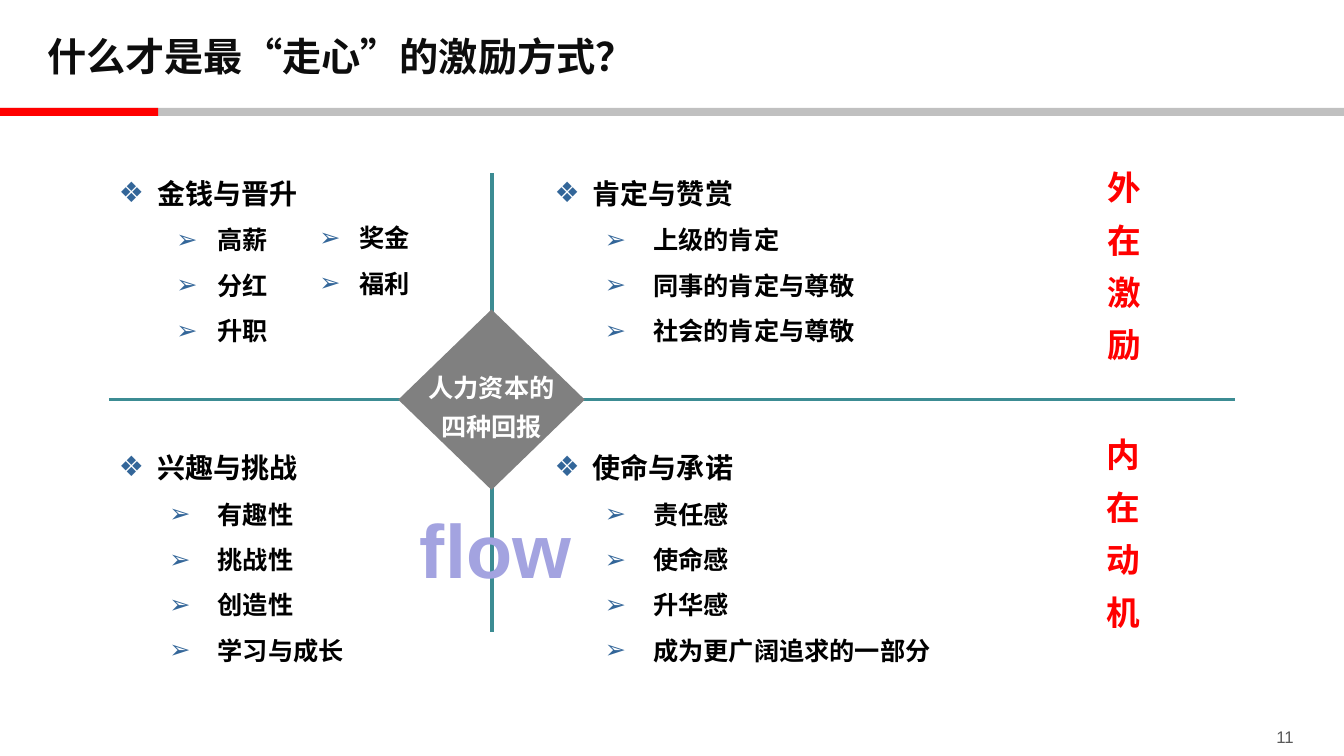
import pptx
import pptx.util
import pptx.dml.color
import pptx.enum.shapes
import pptx.enum.text
import pptx.oxml.ns
import lxml.etree

Inches = pptx.util.Inches
Pt = pptx.util.Pt
RGBColor = pptx.dml.color.RGBColor
SHAPE = pptx.enum.shapes.MSO_SHAPE
ALIGN = pptx.enum.text.PP_ALIGN
ANCHOR = pptx.enum.text.MSO_ANCHOR

CJK = "Noto Sans CJK SC"
BLACK = RGBColor(0x00, 0x00, 0x00)
WHITE = RGBColor(0xFF, 0xFF, 0xFF)
RED = RGBColor(0xFF, 0x00, 0x00)
SILVER = RGBColor(0xC0, 0xC0, 0xC0)
GRAY = RGBColor(0x80, 0x80, 0x80)
TEAL = RGBColor(0x3C, 0x8C, 0x93)
BLUE = RGBColor(0x33, 0x66, 0x99)
LAVENDER = RGBColor(0xA3, 0xA3, 0xE0)
TITLE_INK = RGBColor(0x0D, 0x0D, 0x0D)
NUMBER_INK = RGBColor(0x59, 0x59, 0x59)

QUADRANTS = [
    (1.08, 1.53, 2.67, 0.41, "金钱与晋升", ["高薪", "分红", "升职"]),
    (5.4, 1.53, 3.65, 0.48, "肯定与赞赏", ["上级的肯定", "同事的肯定与尊敬", "社会的肯定与尊敬"]),
    (1.08, 4.25, 3.65, 0.48, "兴趣与挑战", ["有趣性", "挑战性", "创造性", "学习与成长"]),
    (5.4, 4.25, 4.14, 0.48, "使命与承诺", ["责任感", "使命感", "升华感", "成为更广阔追求的一部分"]),
]


def sub(parent, tag, **attributes):
    """Append a drawing element to a parent."""
    return lxml.etree.SubElement(parent, pptx.oxml.ns.qn(tag), attributes)


def place(shape, left, top, width, height):
    """Move and size a shape, in inches."""
    shape.left, shape.top = Inches(left), Inches(top)
    shape.width, shape.height = Inches(width), Inches(height)


def prepare(frame, anchor=ANCHOR.TOP, wrap=True):
    """Set the wrapping and anchoring of a text frame."""
    frame.word_wrap = wrap
    frame.auto_size = pptx.enum.text.MSO_AUTO_SIZE.NONE
    frame.vertical_anchor = anchor
    return frame


def write(frame, text, size=18, color=BLACK, font=CJK, bold=True, align=ALIGN.LEFT,
          spacing=1.0, level=0, bullet=None, margin=0, hanging=0):
    """Add one formatted paragraph to a text frame."""
    paragraph = frame.paragraphs[0]
    if paragraph.runs:
        paragraph = frame.add_paragraph()
    paragraph.level = level
    paragraph.alignment = align
    paragraph.line_spacing = spacing
    paragraph.space_before = Pt(0)
    if bullet:
        properties = paragraph._p.get_or_add_pPr()
        properties.set("marL", str(Inches(margin)))
        properties.set("indent", str(-Inches(hanging)))
        sub(sub(properties, "a:buClr"), "a:srgbClr", val=str(BLUE))
        sub(properties, "a:buFont", typeface="Arial")
        sub(properties, "a:buChar", char=bullet)
    run = paragraph.add_run()
    run.text = text
    run.font.size, run.font.bold = Pt(size), bold
    run.font.name = font
    run.font.color.rgb = color
    sub(run._r.get_or_add_rPr(), "a:ea", typeface=CJK)


def add_label(slide, box, text, **style):
    """Add a text box holding one paragraph."""
    frame = slide.shapes.add_textbox(*map(Inches, box)).text_frame
    write(prepare(frame), text, **style)


def add_block(slide, kind, box, fill):
    """Add a flat filled shape without outline."""
    block = slide.shapes.add_shape(kind, *map(Inches, box))
    block.shadow.inherit = False
    block.fill.solid()
    block.fill.fore_color.rgb = fill
    block.line.fill.background()
    return block


def add_axis(slide, *ends):
    """Add one axis of the cross."""
    axis = slide.shapes.add_connector(
        pptx.enum.shapes.MSO_CONNECTOR.STRAIGHT, *map(Inches, ends))
    axis.line.color.rgb = TEAL
    axis.line.width = Pt(2.25)
    sub(axis._element.spPr, "a:effectLst")


def write_items(frame, items, margin, hanging):
    """Add second-level arrow items to a list."""
    for item in items:
        write(frame, item, spacing=1.5, level=1, bullet="➢", margin=margin, hanging=hanging)


def fill_quadrant(body, left, top, width, hanging, heading, items):
    """Turn a body placeholder into one quadrant list."""
    place(body, left, top, width, 1.97)
    frame = prepare(body.text_frame)
    write(frame, heading, size=20, spacing=1.5, bullet="❖", margin=0.38, hanging=0.38)
    write_items(frame, items, 0.98, hanging)


def main():
    """Build the slide and save it."""
    deck = pptx.Presentation()
    deck.slide_width, deck.slide_height = Inches(13.33), Inches(7.5)
    slide = deck.slides.add_slide(deck.slide_layouts.get_by_name("Comparison"))

    add_block(slide, SHAPE.RECTANGLE, (0, 1.07, 13.33, 0.08), SILVER)
    add_block(slide, SHAPE.RECTANGLE, (0, 1.07, 1.57, 0.08), RED)
    title = slide.shapes.title
    place(title, 0.37, 0.1, 9.88, 0.91)
    write(prepare(title.text_frame, ANCHOR.MIDDLE), "什么才是最“走心”的激励方式？",
          size=28, color=TITLE_INK, font="Arial")

    add_axis(slide, 1.08, 3.96, 12.25, 3.96)
    add_axis(slide, 4.88, 1.72, 4.88, 6.27)
    hub = add_block(slide, SHAPE.DIAMOND, (3.95, 3.07, 1.85, 1.79), GRAY)
    hub_text = prepare(hub.text_frame, ANCHOR.MIDDLE, wrap=False)
    hub_text.margin_left = hub_text.margin_right = 0
    hub_text.margin_top = hub_text.margin_bottom = 0
    for line, spacing in (("人力资本的", 1.5), ("四种回报", 1.3)):
        write(hub_text, line, color=WHITE, align=ALIGN.CENTER, spacing=spacing)

    bodies = [holder for holder in slide.placeholders if holder.placeholder_format.idx]
    for body, quadrant in zip(bodies, QUADRANTS):
        fill_quadrant(body, *quadrant)
    rewards = slide.shapes.add_textbox(*map(Inches, (3.07, 2.01, 1.4, 1.46)))
    write_items(prepare(rewards.text_frame), ["奖金", "福利"], 0.4, 0.4)

    for motive, left, top in (("外在激励", 10.87, 1.49), ("内在动机", 10.86, 4.14)):
        add_label(slide, (left, top, 0.57, 2.13), motive, size=24, color=RED,
                  align=ALIGN.CENTER, spacing=1.3)
    add_label(slide, (3.26, 4.94, 3.31, 1.01), "flow", size=54, color=LAVENDER,
              font="Arial", align=ALIGN.CENTER)
    add_label(slide, (12.13, 7.16, 0.8, 0.28), "11", size=12, color=NUMBER_INK,
              font="Arial", bold=False, align=ALIGN.RIGHT)
    deck.save("out.pptx")


if __name__ == "__main__":
    main()
